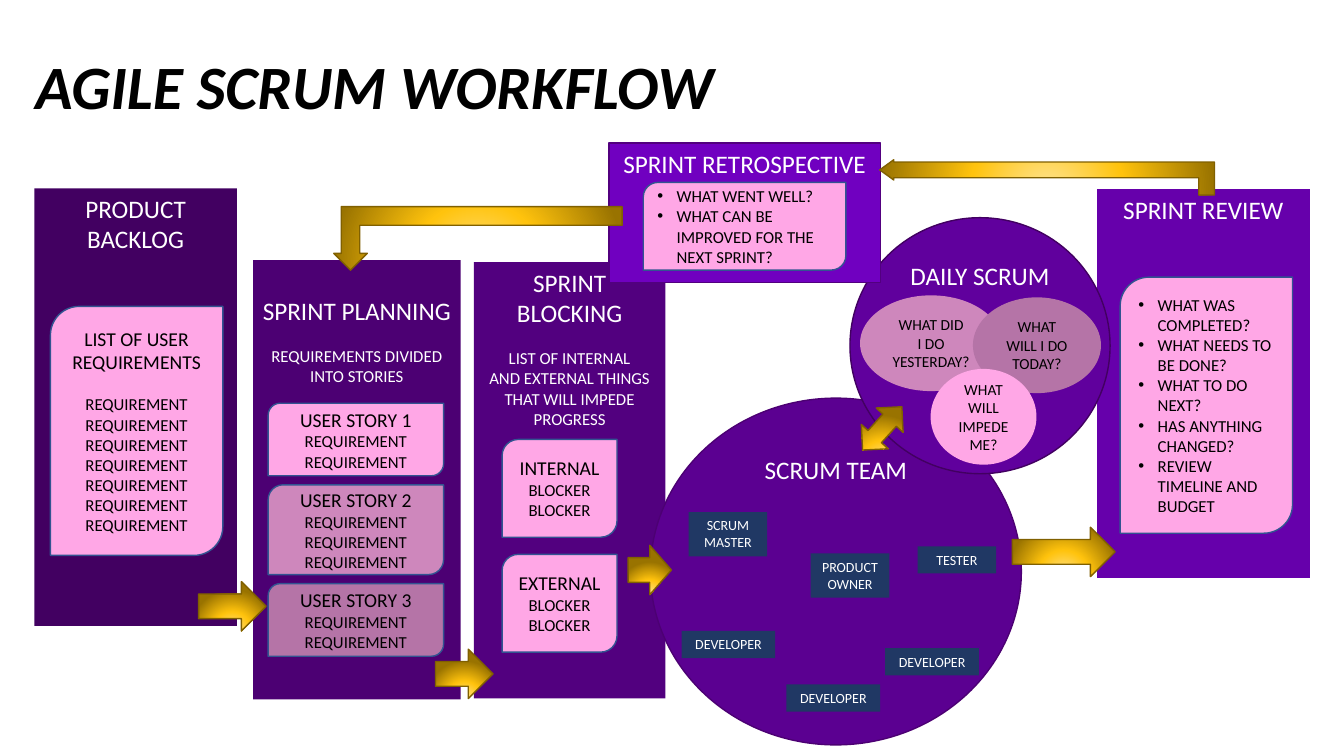
from lxml import etree
from pptx import Presentation
from pptx.dml.color import RGBColor
from pptx.enum.shapes import MSO_SHAPE
from pptx.enum.text import MSO_ANCHOR, MSO_AUTO_SIZE, PP_ALIGN
from pptx.oxml import parse_xml
from pptx.oxml.ns import nsdecls, qn
from pptx.util import Inches, Pt

RECT = MSO_SHAPE.RECTANGLE
PROCESS = MSO_SHAPE.FLOWCHART_PROCESS
OVAL = MSO_SHAPE.OVAL
CARD = MSO_SHAPE.ROUND_2_DIAG_RECTANGLE
RIGHT = MSO_SHAPE.RIGHT_ARROW
BENT = MSO_SHAPE.BENT_UP_ARROW
DOUBLE = MSO_SHAPE.LEFT_RIGHT_ARROW
TOP, MIDDLE = MSO_ANCHOR.TOP, MSO_ANCHOR.MIDDLE
CENTER, LEFT = PP_ALIGN.CENTER, PP_ALIGN.LEFT

FONT = "Calibri"
BLANK_LINE = 14.6  # height in points of one 12 pt line
COLORS = {
    "black": "000000", "white": "FFFFFF", "navy": "203864", "blue": "325491",
    "backlog": "420061", "planning": "4C0073", "blocking": "52007F",
    "team": "5B0091", "daily": "60009D", "review": "6600AB", "retro": "7000C0",
    "pink": "FFA7E6", "rose": "CE87BC", "mauve": "B574A7",
    "gold_light": "FFE699", "gold": "FFC30D", "gold_dark": "997300", "bronze": "806000",
}


def rgb(name):
    return RGBColor.from_string(COLORS[name])


def add_base(slide, kind, box, line=None):
    sp = slide.shapes.add_shape(kind, *map(Inches, box))
    sp.shadow.inherit = False
    if line:
        sp.line.color.rgb = rgb(line)
        sp.line.width = Pt(1)
    else:
        sp.line.fill.background()
    return sp


def format_paragraph(p, size, color, align=CENTER):
    p.alignment = align
    for r in p.runs:
        r.font.name = FONT
        r.font.size = Pt(size)
        r.font.color.rgb = rgb(color)


def add_bullet(p):
    pPr = p._p.get_or_add_pPr()
    pPr.set("marL", str(Inches(0.19)))
    pPr.set("indent", str(-Inches(0.19)))
    etree.SubElement(pPr, qn("a:buFont")).set("typeface", "Arial")
    etree.SubElement(pPr, qn("a:buChar")).set("char", "•")


def add_block(slide, kind, box, fill, lines, line=None, color="white", anchor=TOP, bullets=False):
    """Add a filled shape; lines holds (text, size, space before) for each paragraph."""
    sp = add_base(slide, kind, box, line)
    sp.fill.solid()
    sp.fill.fore_color.rgb = rgb(fill)
    tf = sp.text_frame
    tf.word_wrap = True
    tf.vertical_anchor = anchor
    for i, (text, size, before) in enumerate(lines):
        p = tf.add_paragraph() if i else tf.paragraphs[0]
        p.text = text
        if before:
            p.space_before = Pt(before)
        if bullets:
            add_bullet(p)
        format_paragraph(p, size, color, LEFT if bullets else CENTER)
    return sp


def add_card(slide, box, heading, items, fill="pink", gap=0):
    lines = [(heading, 14, 0)] + [(item, 12, 0 if i else gap) for i, item in enumerate(items)]
    add_block(slide, CARD, box, fill, lines, "blue", "black", MIDDLE)


def add_bullet_card(slide, box, items):
    add_block(slide, CARD, box, "pink", [(item, 12, 0) for item in items],
              "blue", "black", MIDDLE, bullets=True)


def add_question(slide, box, fill, *texts):
    add_block(slide, OVAL, box, fill, [(text, 11, 0) for text in texts],
              color="black", anchor=MIDDLE)


def add_role(slide, box, *texts):
    sp = add_block(slide, RECT, box, "navy", [(text, 10, 0) for text in texts])
    sp.text_frame.auto_size = MSO_AUTO_SIZE.SHAPE_TO_FIT_TEXT


def add_arrow(slide, kind, box, rotation=0, adjustments=()):
    """Add an arrow with a round gold gradient."""
    sp = add_base(slide, kind, box, "bronze")
    sp.rotation = rotation
    for i, value in enumerate(adjustments):
        sp.adjustments[i] = value
    stops = "".join(
        f'<a:gs pos="{pos}"><a:srgbClr val="{COLORS[name]}"/></a:gs>'
        for pos, name in ((0, "gold_light"), (46000, "gold"), (100000, "gold_dark")))
    gradient = parse_xml(
        f'<a:gradFill {nsdecls("a")} rotWithShape="1"><a:gsLst>{stops}</a:gsLst>'
        '<a:path path="circle"><a:fillToRect l="50000" t="130000" r="50000" b="-30000"/>'
        '</a:path></a:gradFill>')
    sp.fill.background()
    spPr = sp._element.spPr
    spPr.replace(spPr.find(qn("a:noFill")), gradient)


def add_title(slide, text):
    title = slide.shapes.title
    title.left, title.top, title.width, title.height = map(Inches, (0.25, 0.16, 11.5, 1.45))
    tf = title.text_frame
    tf.text = text
    tf.word_wrap = True
    tf.vertical_anchor = MIDDLE
    p = tf.paragraphs[0]
    p.line_spacing = 0.9
    format_paragraph(p, 44, "black", LEFT)
    p.runs[0].font.bold = p.runs[0].font.italic = True


def add_panels(slide):
    add_block(slide, RECT, (0.34, 1.87, 2.01, 4.34), "backlog", [("PRODUCT BACKLOG", 18, 0)])
    planning = add_block(
        slide, RECT, (2.51, 2.58, 2.06, 4.36), "planning",
        [("SPRINT PLANNING", 18, 0), ("REQUIREMENTS DIVIDED INTO STORIES", 12, BLANK_LINE)])
    tf = planning.text_frame
    tf.margin_top = Inches(0.35)
    tf.margin_left = tf.margin_right = Inches(0.07)  # keeps the heading on one line
    add_block(slide, RECT, (4.7, 2.6, 1.9, 4.33), "blocking",
              [("SPRINT BLOCKING", 18, 0), ("LIST OF INTERNAL", 12, BLANK_LINE),
               ("AND EXTERNAL THINGS THAT WILL IMPEDE PROGRESS", 12, 0)])
    add_block(slide, PROCESS, (10.88, 1.88, 2.11, 3.85), "review", [("SPRINT REVIEW", 18, 0)])


def add_cards(slide):
    add_card(slide, (0.5, 3.04, 1.71, 2.47), "LIST OF USER REQUIREMENTS",
             ["REQUIREMENT"] * 7, gap=BLANK_LINE)
    stories = ((4, 0.72, 2, "pink"), (4.81, 0.89, 3, "rose"), (5.79, 0.72, 2, "mauve"))
    for number, (top, height, count, fill) in enumerate(stories, 1):
        add_card(slide, (2.66, top, 1.74, height), f"USER STORY {number}",
                 ["REQUIREMENT"] * count, fill)
    for top, heading in ((4.36, "INTERNAL"), (5.5, "EXTERNAL")):
        add_card(slide, (4.98, top, 1.14, 0.97), heading, ["BLOCKER"] * 2)
    add_bullet_card(slide, (11.11, 2.75, 1.71, 2.54), [
        "WHAT WAS COMPLETED?", "WHAT NEEDS TO BE DONE?", "WHAT TO DO NEXT?",
        "HAS ANYTHING CHANGED?", "REVIEW TIMELINE AND BUDGET"])


def add_team(slide):
    add_block(slide, OVAL, (6.45, 3.95, 3.68, 3.44), "team", [("SCRUM TEAM", 18, 0)], "planning")
    add_role(slide, (6.83, 5.08, 0.78, 0.44), "SCRUM MASTER")
    add_role(slide, (8.04, 5.49, 0.78, 0.44), "PRODUCT", "OWNER")
    add_role(slide, (9.1, 5.42, 0.78, 0.27), "TESTER")
    for left, top in ((6.76, 6.26), (7.8, 6.79), (8.78, 6.43)):
        add_role(slide, (left, top, 0.93, 0.27), "DEVELOPER")


def add_daily_scrum(slide):
    add_block(slide, OVAL, (8.43, 2.16, 2.58, 2.54), "daily", [("DAILY SCRUM", 18, 0)], "backlog")
    add_question(slide, (8.53, 2.93, 1.41, 0.95), "rose", "WHAT DID", "I DO YESTERDAY?")
    add_question(slide, (9.65, 2.95, 1.27, 0.95), "mauve", "WHAT WILL I DO TODAY?")
    add_question(slide, (9.23, 3.66, 1.05, 0.95), "pink", "WHAT WILL IMPEDE ME?")


def add_retrospective(slide):
    add_block(slide, PROCESS, (6.04, 1.42, 2.69, 1.38), "retro",
              [("SPRINT RETROSPECTIVE", 18, 0)], "blocking")
    add_bullet_card(slide, (6.38, 1.81, 2.01, 0.87),
                    ["WHAT WENT WELL?", "WHAT CAN BE IMPROVED FOR THE NEXT SPRINT?"])


def add_arrows(slide):
    for left, top, width in ((1.97, 5.77, 0.67), (4.32, 6.44, 0.57),
                             (6.23, 5.41, 0.43), (10.04, 5.23, 1.02)):
        add_arrow(slide, RIGHT, (left, top, width, 0.49))
    add_arrow(slide, BENT, (10.21, 0.1, 0.35, 3.32), 270, (0.445, 0.286, 0.398))
    add_arrow(slide, BENT, (3.31, 2.05, 2.86, 0.63), 180, (0.292, 0.264, 0.265))
    add_arrow(slide, DOUBLE, (8.46, 4.07, 0.58, 0.36), 312.2)


def main():
    prs = Presentation()
    prs.slide_width, prs.slide_height = Inches(13.33), Inches(7.5)
    slide = prs.slides.add_slide(prs.slide_layouts[5])
    add_title(slide, "AGILE SCRUM WORKFLOW")
    add_panels(slide)
    add_cards(slide)
    add_team(slide)
    add_daily_scrum(slide)
    add_retrospective(slide)
    add_arrows(slide)
    prs.save("out.pptx")


if __name__ == "__main__":
    main()
